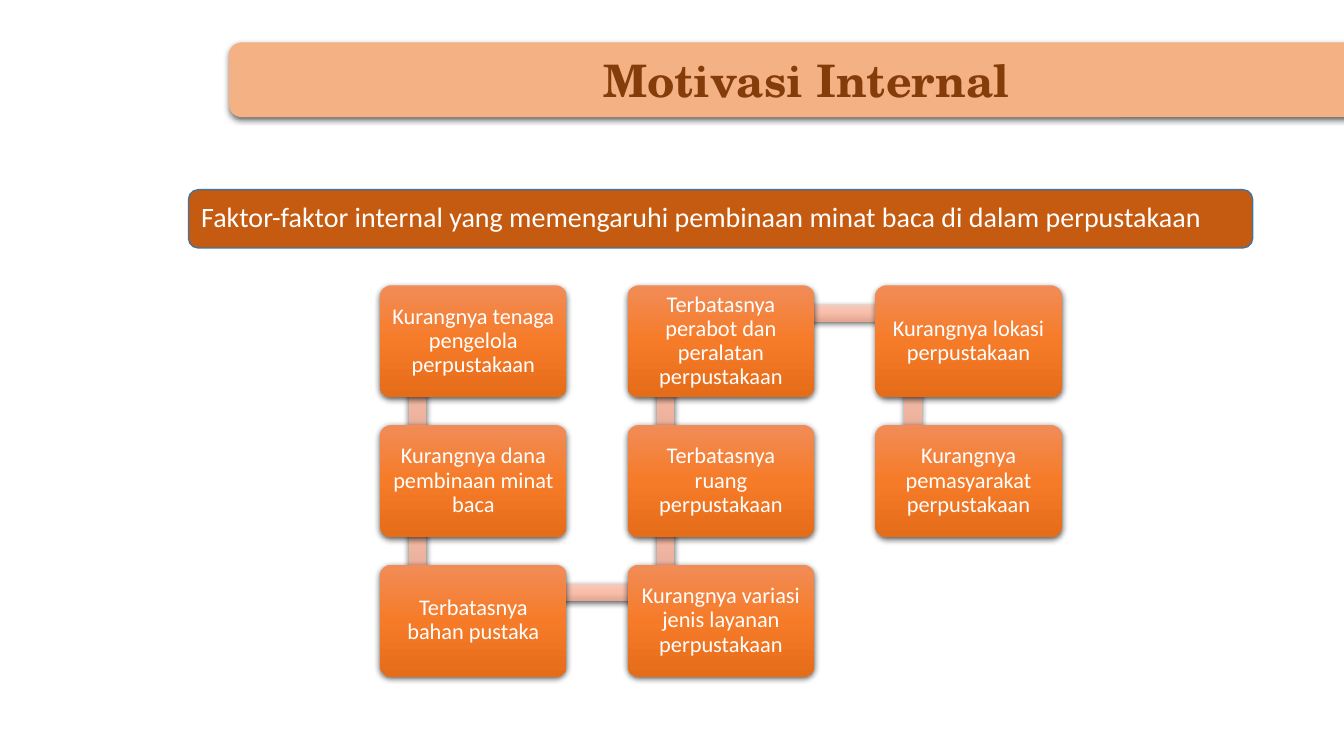
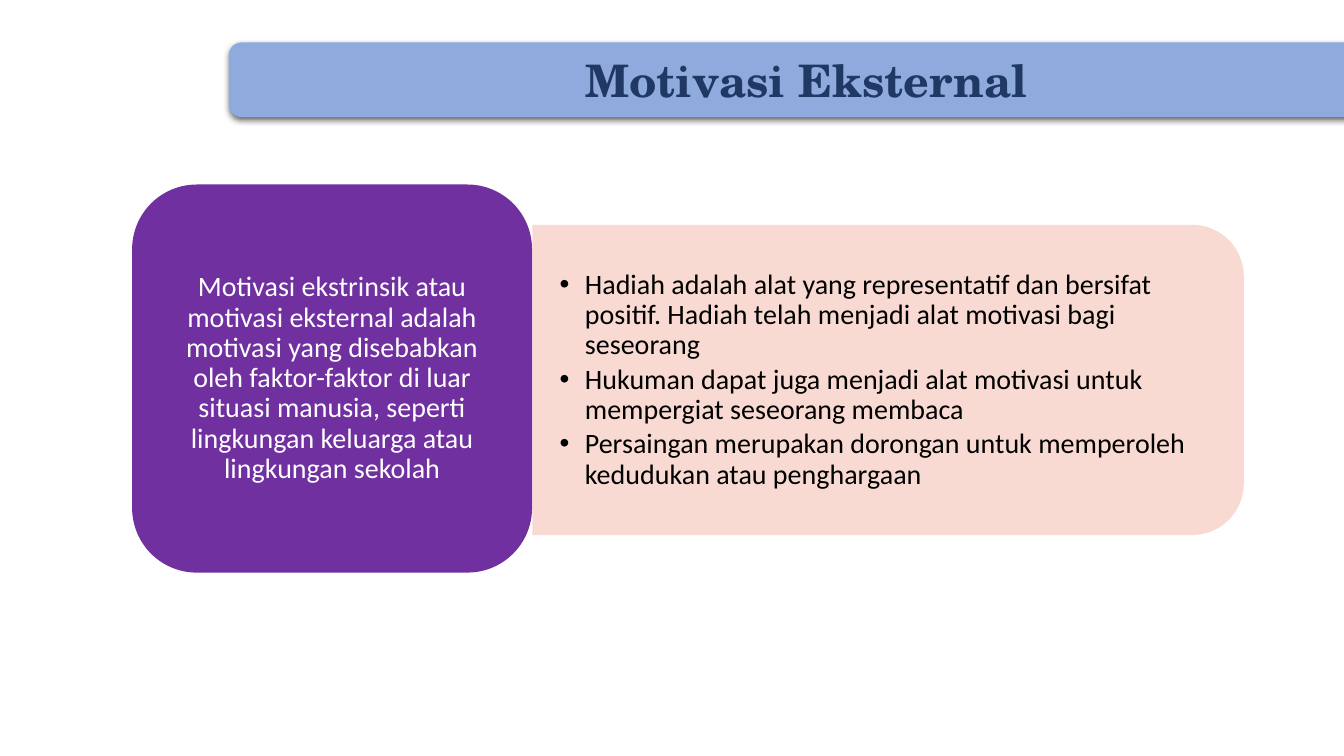
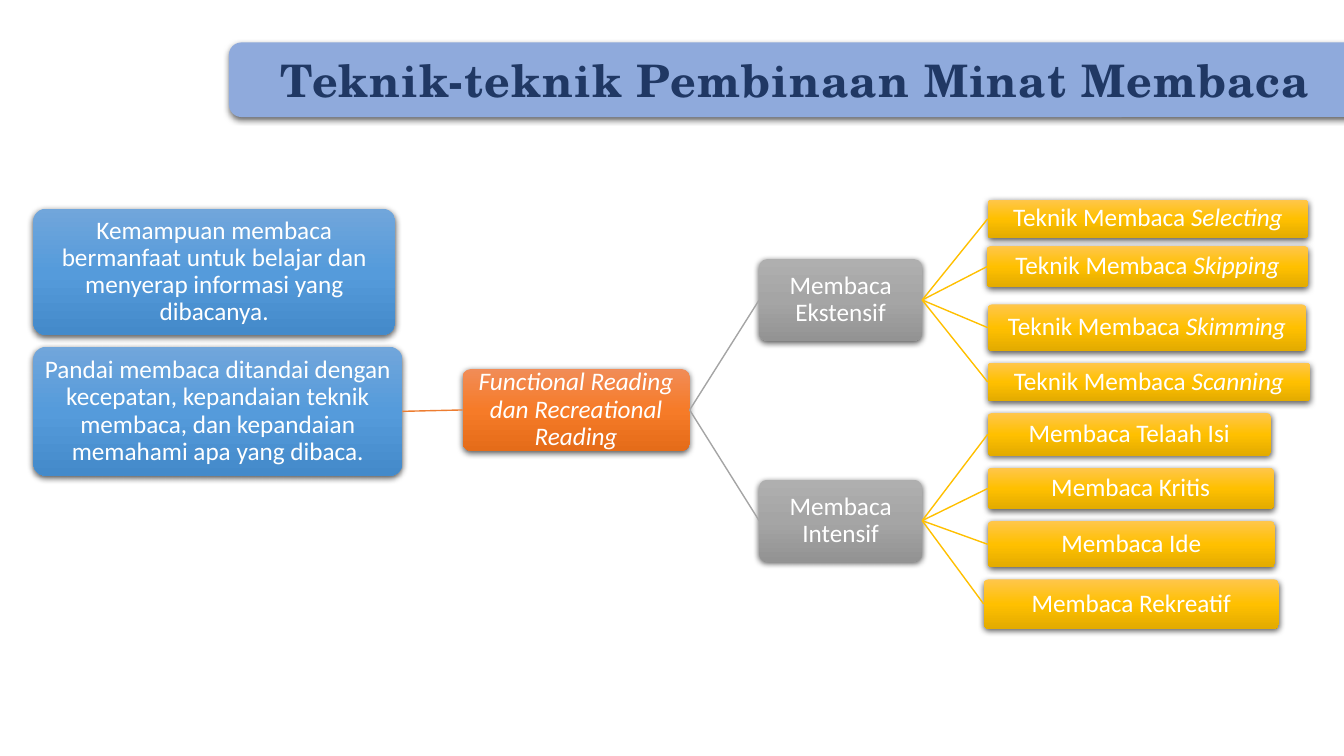
from copy import deepcopy

from lxml import etree
from pptx import Presentation
from pptx import util as u
from pptx.dml.color import RGBColor
from pptx.enum import shapes, text
from pptx.oxml import ns

WHITE = RGBColor(0xFF, 0xFF, 0xFF)
BLACK = RGBColor(0x00, 0x00, 0x00)
PEACH = RGBColor(0xF4, 0xB1, 0x83)
BROWN = RGBColor(0x84, 0x3C, 0x0B)
SKY = RGBColor(0x8F, 0xAA, 0xDC)
NAVY = RGBColor(0x20, 0x38, 0x64)
RUST = RGBColor(0xC5, 0x5A, 0x11)
STEEL = RGBColor(0x43, 0x73, 0x9E)
PURPLE = RGBColor(0x70, 0x30, 0xA0)
BLUSH = RGBColor(0xF8, 0xD7, 0xCE)
ORANGE_LINE = RGBColor(0xED, 0x7D, 0x31)
GREY_LINE = RGBColor(0xA5, 0xA5, 0xA5)
GOLD_LINE = RGBColor(0xFF, 0xC0, 0x00)

SALMON = [RGBColor(0xF7, 0xC9, 0xBA), RGBColor(0xF8, 0xBE, 0xAA), RGBColor(0xE2, 0xA6, 0x92)]
ORANGE = [RGBColor(0xF1, 0x8C, 0x57), RGBColor(0xF6, 0x7B, 0x28), RGBColor(0xE5, 0x6C, 0x19)]
BLUE = [RGBColor(0x71, 0xA6, 0xDB), RGBColor(0x55, 0x9B, 0xDB), RGBColor(0x44, 0x8A, 0xCA)]
GREY = [RGBColor(0xAF, 0xAF, 0xAF), RGBColor(0xA5, 0xA5, 0xA5), RGBColor(0x93, 0x93, 0x93)]
GOLD = [RGBColor(0xFF, 0xC6, 0x4B), RGBColor(0xFF, 0xC0, 0x00), RGBColor(0xE3, 0xAB, 0x00)]

ROUNDED = shapes.MSO_SHAPE.ROUNDED_RECTANGLE
LEFT, CENTER = text.PP_ALIGN.LEFT, text.PP_ALIGN.CENTER
BAND = (5.77, 1.07, 29.13, 1.88)
TITLE_FONT = {"name": "TeX Gyre Schola", "size": u.Pt(32), "bold": True}
FRAME = {
    "word_wrap": True,
    "auto_size": text.MSO_AUTO_SIZE.NONE,
    "vertical_anchor": text.MSO_ANCHOR.MIDDLE,
}

FACTORS = [
    "Kurangnya tenaga pengelola perpustakaan",
    "Kurangnya dana pembinaan minat baca",
    "Terbatasnya bahan pustaka",
    "Kurangnya variasi jenis layanan perpustakaan",
    "Terbatasnya ruang perpustakaan",
    "Terbatasnya perabot dan peralatan perpustakaan",
    "Kurangnya lokasi perpustakaan",
    "Kurangnya pemasyarakat perpustakaan",
]
MOTIVATORS = [
    "Hadiah adalah alat yang representatif dan bersifat positif. "
    "Hadiah telah menjadi alat motivasi bagi seseorang",
    "Hukuman dapat juga menjadi alat motivasi untuk mempergiat seseorang membaca",
    "Persaingan merupakan dorongan untuk memperoleh kedudukan atau penghargaan",
]
EXTENSIVE = [
    ("Teknik Membaca ", "Selecting", (24.89, 5.03, 8.08, 0.97)),
    ("Teknik Membaca ", "Skipping", (24.87, 6.2, 8.1, 1.04)),
    ("Teknik Membaca ", "Skimming", (24.89, 7.67, 8.03, 1.17)),
    ("Teknik Membaca ", "Scanning", (24.89, 9.14, 8.13, 0.97)),
]
INTENSIVE = [
    ("Membaca Telaah Isi", "", (24.89, 10.41, 7.14, 1.07)),
    ("Membaca Kritis", "", (24.89, 11.79, 7.21, 1.04)),
    ("Membaca Ide", "", (24.89, 13.13, 7.24, 1.17)),
    ("Membaca Rekreatif", "", (24.79, 14.6, 7.44, 1.24)),
]


def apply(target, values):
    for name, value in values.items():
        setattr(target, name, value)


def place(item, box):
    names = ("left", "top", "width", "height")
    apply(item, dict(zip(names, map(u.Cm, box))))


def set_frame(frame, inset_x, inset_y):
    apply(frame, FRAME)
    apply(frame, {
        "margin_left": u.Cm(inset_x), "margin_right": u.Cm(inset_x),
        "margin_top": u.Cm(inset_y), "margin_bottom": u.Cm(inset_y),
    })


def add_run(paragraph, words, color, font):
    run = paragraph.add_run()
    run.text = words
    apply(run.font, font)
    run.font.color.rgb = color
    return run


def write(paragraph, words, size, color=WHITE, italic_words="", align=CENTER):
    apply(paragraph, {"alignment": align, "line_spacing": 0.9, "space_before": u.Pt(0)})
    font = {"name": "Calibri", "size": u.Pt(size)}
    if words:
        add_run(paragraph, words, color, font)
    if italic_words:
        add_run(paragraph, italic_words, color, {**font, "italic": True})


def add_panel(slide, box, fill, kind=ROUNDED, corner=None):
    panel = slide.shapes.add_shape(kind, *map(u.Cm, box))
    panel.shadow.inherit = False
    panel.line.fill.background()
    if corner is not None:
        panel.adjustments[0] = corner
    if isinstance(fill, list):
        fill_gradient(panel, fill)
    else:
        panel.fill.solid()
        panel.fill.fore_color.rgb = fill
    return panel


def fill_gradient(panel, colors):
    panel.fill.gradient()
    panel.fill.gradient_angle = 270
    stop_list = panel.element.spPr.find(".//" + ns.qn("a:gsLst"))
    stop_list.append(deepcopy(stop_list[-1]))
    for stop, color, position in zip(panel.fill.gradient_stops, colors, (0, 0.5, 1)):
        stop.color.rgb = color
        stop.position = position


def cast_shadow(panel):
    effects = panel.element.spPr.find(ns.qn("a:effectLst"))
    shadow = etree.SubElement(effects, ns.qn("a:outerShdw"), blurRad="57150",
                              dist="19050", dir="5400000", algn="ctr", rotWithShape="0")
    tint = etree.SubElement(shadow, ns.qn("a:srgbClr"), val="000000")
    etree.SubElement(tint, ns.qn("a:alpha"), val="63000")


def make_translucent(panel, percent):
    for color in panel.element.spPr.iter(ns.qn("a:srgbClr")):
        etree.SubElement(color, ns.qn("a:alpha"), val=str(percent * 1000))


def add_card(slide, box, fill, words, size, inset, italic_words=""):
    card = add_panel(slide, box, fill, corner=0.1)
    cast_shadow(card)
    set_frame(card.text_frame, inset, inset)
    write(card.text_frame.paragraphs[0], words, size, italic_words=italic_words)
    return card


def join(slide, parent, child, color):
    branch = slide.shapes.add_connector(shapes.MSO_CONNECTOR.STRAIGHT, 0, 0, 0, 0)
    branch.begin_connect(parent, 3)
    branch.end_connect(child, 1)
    branch.line.color.rgb = color
    branch.line.width = u.Pt(1)
    etree.SubElement(branch.element.spPr, ns.qn("a:effectLst"))


def set_bullet(paragraph):
    properties = paragraph._p.get_or_add_pPr()
    indent = u.Cm(0.64)
    properties.set("marL", str(indent))
    properties.set("indent", str(-indent))
    etree.SubElement(properties, ns.qn("a:buFont"), typeface="Arial")
    etree.SubElement(properties, ns.qn("a:buChar"), char="•")


def add_titled_slide(deck, layout, title, band_color, title_color):
    slide = deck.slides.add_slide(deck.slide_layouts.get_by_name(layout))
    heading = slide.shapes.title
    band = add_panel(slide, BAND, band_color)
    cast_shadow(band)
    heading.element.addprevious(band.element)
    place(heading, BAND)
    set_frame(heading.text_frame, 0.25, 0.13)
    line = heading.text_frame.paragraphs[0]
    line.alignment = CENTER
    add_run(line, title, title_color, TITLE_FONT)
    return slide


def build_internal(deck):
    slide = add_titled_slide(deck, "Title Only", "Motivasi Internal", PEACH, BROWN)
    summary = add_panel(slide, (4.75, 4.78, 26.82, 1.47), RUST)
    summary.line.color.rgb = STEEL
    summary.line.width = u.Pt(1)
    set_frame(summary.text_frame, 0.25, 0.13)
    write(summary.text_frame.paragraphs[0],
          "Faktor-faktor internal yang memengaruhi pembinaan minat baca di dalam perpustakaan",
          20, align=LEFT)

    rows, thickness = 3, 0.43
    corners = []
    for index in range(len(FACTORS)):
        column, step = divmod(index, rows)
        row = step if column % 2 == 0 else rows - 1 - step
        corners.append((9.58 + column * 6.24, 7.19 + row * 3.52))
    for (x1, y1), (x2, y2) in zip(corners, corners[1:]):
        width = max(abs(x2 - x1), thickness)
        height = max(abs(y2 - y1), thickness)
        link_box = ((x1 + x2 - width) / 2 + 0.95, (y1 + y2 - height) / 2 + 0.7, width, height)
        cast_shadow(add_panel(slide, link_box, SALMON, shapes.MSO_SHAPE.RECTANGLE))
    for corner, factor in zip(corners, FACTORS):
        add_card(slide, (*corner, 4.7, 2.82), ORANGE, factor, 16, 0.18)


def build_external(deck):
    slide = add_titled_slide(deck, "Title and Content", "Motivasi Eksternal", SKY, NAVY)
    motivators = slide.placeholders[1]
    backdrop = add_panel(slide, (18.47, 0.61, 7.82, 17.93), BLUSH,
                         shapes.MSO_SHAPE.ROUND_2_SAME_RECTANGLE)
    backdrop.rotation = 90
    make_translucent(backdrop, 90)
    motivators.element.addprevious(backdrop.element)
    place(motivators, (13.41, 6.05, 17.55, 7.06))
    set_frame(motivators.text_frame, 0.69, 0.36)
    for index, motivator in enumerate(MOTIVATORS):
        frame = motivators.text_frame
        paragraph = frame.add_paragraph() if index else frame.paragraphs[0]
        write(paragraph, motivator, 20, BLACK, align=LEFT)
        paragraph.space_after = u.Pt(3)
        set_bullet(paragraph)

    definition = add_panel(slide, (3.33, 4.65, 10.08, 9.78), PURPLE)
    set_frame(definition.text_frame, 0.2, 0.1)
    write(definition.text_frame.paragraphs[0],
          "Motivasi ekstrinsik atau motivasi eksternal adalah motivasi yang disebabkan "
          "oleh faktor-faktor di luar situasi manusia, seperti lingkungan keluarga atau "
          "lingkungan sekolah", 20)


def build_techniques(deck):
    slide = add_titled_slide(deck, "Title Only", "Teknik-teknik Pembinaan Minat Membaca",
                             SKY, NAVY)
    heading = slide.shapes.title.text_frame
    heading.margin_left = u.Cm(1.29)
    line = heading.paragraphs[0]
    line.alignment = LEFT
    line.runs[0].font._element.set("spc", "80")

    size, inset = 18, 0.03
    add_card(slide, (0.84, 5.26, 9.12, 3.18), BLUE,
             "Kemampuan membaca bermanfaat untuk belajar dan menyerap informasi "
             "yang dibacanya.", size, inset)
    skill = add_card(slide, (0.84, 8.74, 9.3, 3.25), BLUE,
                     "Pandai membaca ditandai dengan kecepatan, kepandaian teknik membaca, "
                     "dan kepandaian memahami apa yang dibaca.", size, inset)
    purpose = add_card(slide, (11.66, 9.3, 5.72, 2.06), ORANGE, "", size, inset,
                       "Functional Reading dan Recreational Reading")
    join(slide, skill, purpose, ORANGE_LINE)
    for name, top, techniques in (("Membaca Ekstensif", 6.53, EXTENSIVE),
                                  ("Membaca Intensif", 12.09, INTENSIVE)):
        approach = add_card(slide, (19.13, top, 4.11, 2.06), GREY, name, size, inset)
        join(slide, purpose, approach, GREY_LINE)
        for words, italic_words, box in techniques:
            technique = add_card(slide, box, GOLD, words, size, inset, italic_words)
            join(slide, approach, technique, GOLD_LINE)


def main():
    deck = Presentation()
    deck.slide_width = u.Cm(33.87)
    deck.slide_height = u.Cm(19.05)
    build_internal(deck)
    build_external(deck)
    build_techniques(deck)
    deck.save("out.pptx")


if __name__ == "__main__":
    main()
